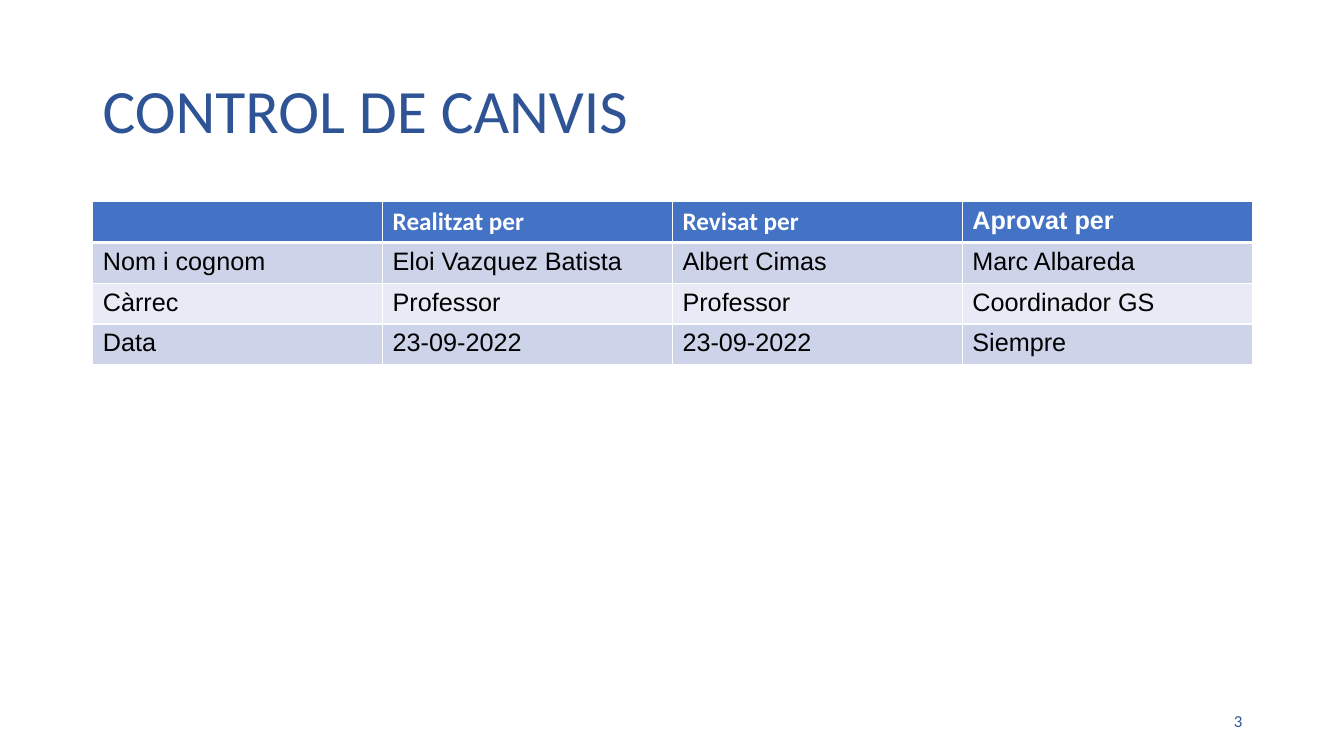
from lxml.etree import SubElement
from pptx import Presentation
from pptx.dml.color import RGBColor
from pptx.enum.text import MSO_ANCHOR, PP_ALIGN
from pptx.oxml.ns import qn
from pptx.util import Inches, Pt

COLORS = {
    "navy": "2F5496",
    "head": "4472C4",
    "odd": "CDD4EA",
    "even": "E8EBF5",
    "white": "FFFFFF",
    "black": "000000",
}
ROWS = [
    ["", "Realitzat per", "Revisat per", "Aprovat per"],
    ["Nom i cognom", "Eloi Vazquez Batista", "Albert Cimas", "Marc Albareda"],
    ["Càrrec", "Professor", "Professor", "Coordinador GS"],
    ["Data", "23-09-2022", "23-09-2022", "Siempre"],
]
LEFT, WIDTH = 0.92, 11.5
ROW_H = 0.405
THIN, THICK = 0.96, 3


def add_run(para, text, size, font, color, bold=False):
    run = para.add_run()
    run.text = text
    run.font.size = Pt(size)
    run.font.name = font
    run.font.bold = bold
    run.font.color.rgb = RGBColor.from_string(COLORS[color])


def add_label(slide, text, box, size, align=PP_ALIGN.LEFT, spacing=1.0):
    frame = slide.shapes.add_textbox(*map(Inches, box)).text_frame
    frame.word_wrap = True
    frame.vertical_anchor = MSO_ANCHOR.MIDDLE
    para = frame.paragraphs[0]
    para.alignment = align
    para.line_spacing = spacing
    add_run(para, text, size, "Calibri", "navy")


def add_edges(cell, top, bottom):
    props = cell._tc.get_or_add_tcPr()
    sides = {"lnL": THIN, "lnR": THIN, "lnT": top, "lnB": bottom}
    for side, width in sides.items():
        line = SubElement(props, qn(f"a:{side}"), w=str(Pt(width)))
        fill = SubElement(line, qn("a:solidFill"))
        SubElement(fill, qn("a:srgbClr"), val=COLORS["white"])


def fill_cell(cell, text, row, col):
    head = row == 0
    # Borders come before the fill in the cell properties
    add_edges(cell, THICK if row == 1 else THIN, THICK if head else THIN)
    cell.fill.solid()
    shade = "head" if head else "odd" if row % 2 else "even"
    cell.fill.fore_color.rgb = RGBColor.from_string(COLORS[shade])
    if text:
        font = "Calibri" if head and col < 3 else "Arial"
        add_run(cell.text_frame.paragraphs[0], text, 18, font,
                "white" if head else "black", head)


def add_grid(slide, rows, top):
    count = len(rows[0])
    table = slide.shapes.add_table(
        len(rows), count, Inches(LEFT), Inches(top),
        Inches(WIDTH), Inches(ROW_H * len(rows))).table
    for col in table.columns:
        col.width = Inches(WIDTH / count)
    for r, texts in enumerate(rows):
        table.rows[r].height = Inches(ROW_H)
        for c, text in enumerate(texts):
            fill_cell(table.cell(r, c), text, r, c)


def main():
    deck = Presentation()
    deck.slide_width, deck.slide_height = Inches(13.33), Inches(7.5)
    slide = deck.slides.add_slide(deck.slide_layouts[6])

    # Title
    add_label(slide, "CONTROL DE CANVIS", (LEFT, 0.4, WIDTH, 1.45), 44,
              spacing=0.9)
    # Table of changes
    add_grid(slide, ROWS, 2)
    # Page number
    add_label(slide, "3", (9.42, 6.95, 3, 0.4), 12, PP_ALIGN.RIGHT)

    deck.save("out.pptx")


if __name__ == "__main__":
    main()
